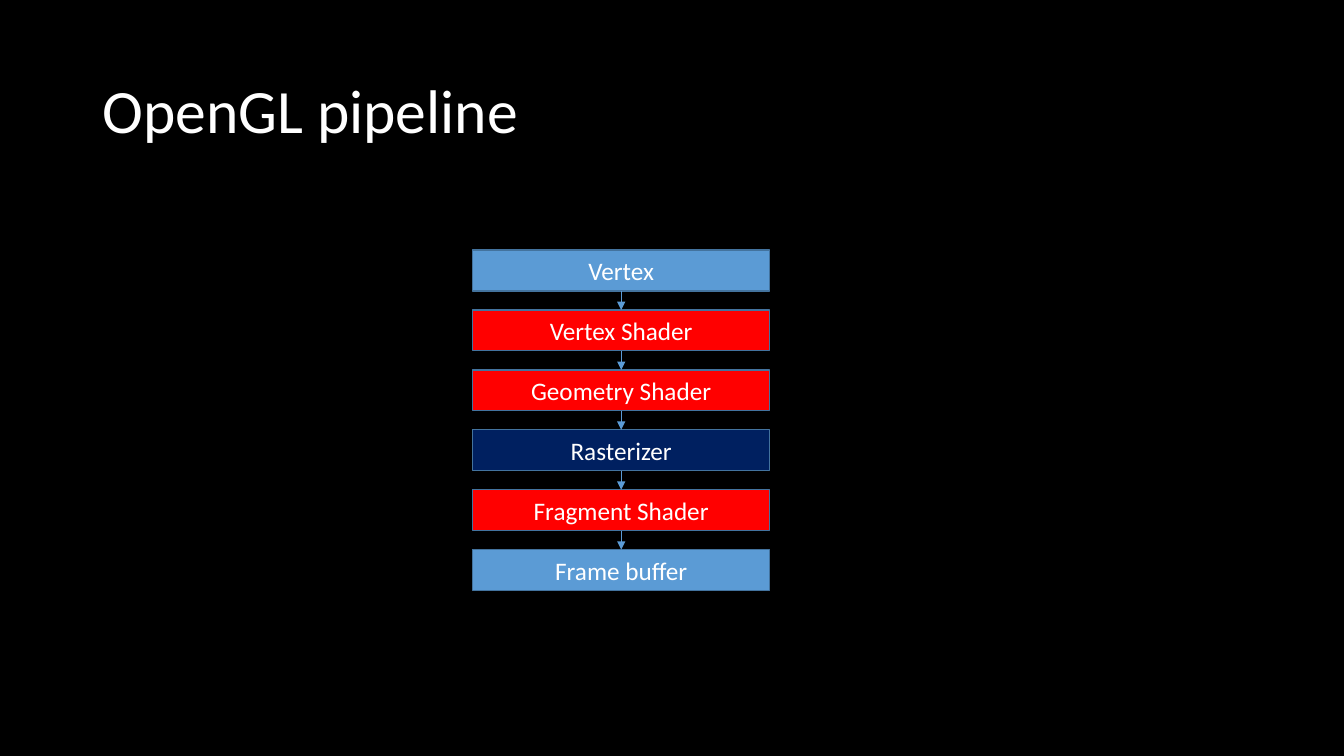
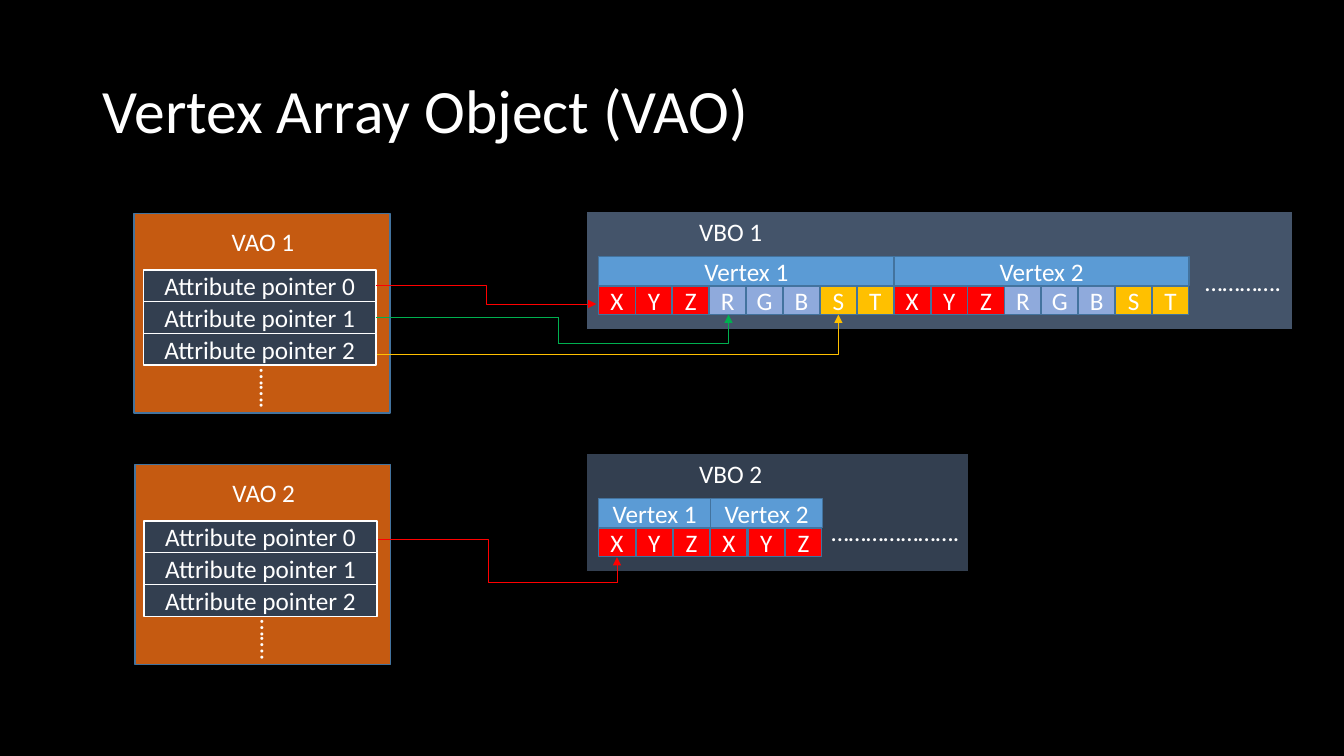
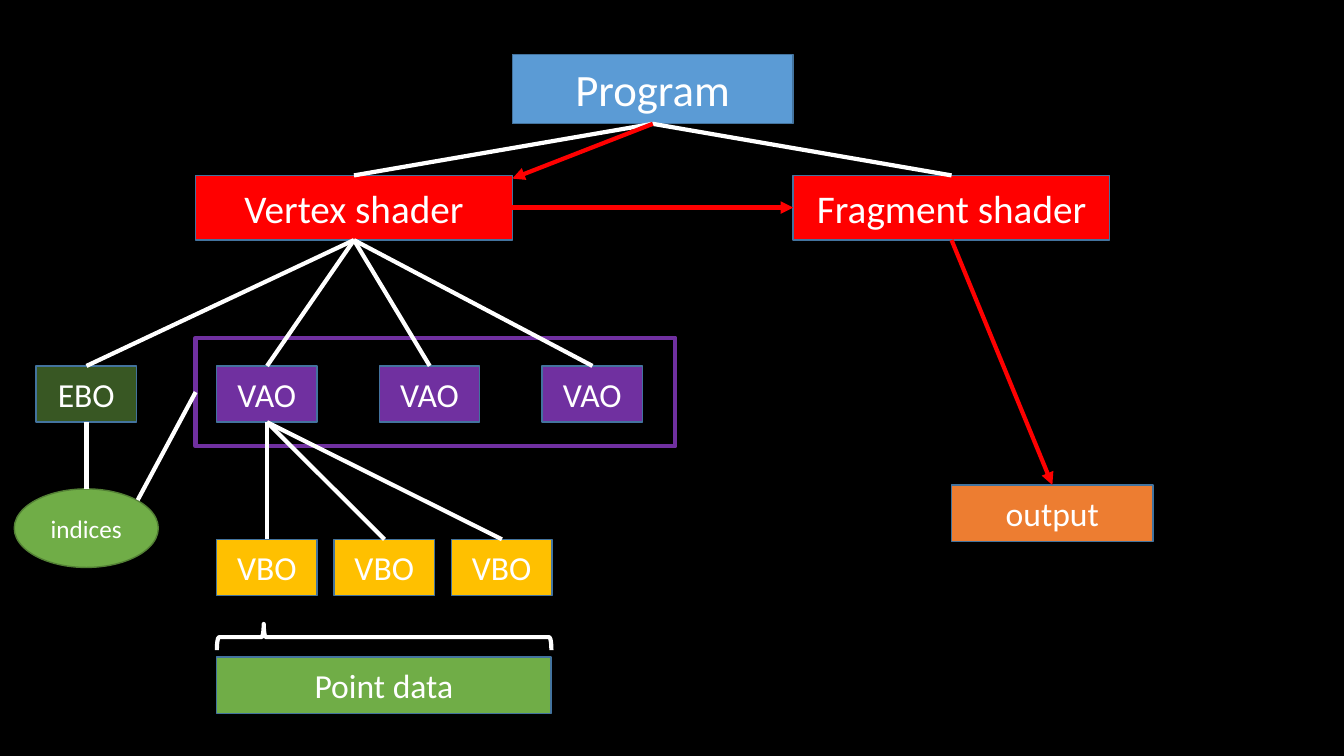
"""Build three slides on the OpenGL pipeline, vertex array objects and program structure."""
import lxml.etree
import pptx
import pptx.dml.color
import pptx.enum.shapes
import pptx.enum.text
import pptx.oxml.ns
import pptx.util

Cm = pptx.util.Cm
Pt = pptx.util.Pt
rgb = pptx.dml.color.RGBColor.from_string
qn = pptx.oxml.ns.qn
MSO = pptx.enum.shapes.MSO_SHAPE
CXN = pptx.enum.shapes.MSO_CONNECTOR
ALIGN = pptx.enum.text.PP_ALIGN

FONT = "Calibri"
WHITE, BLACK, RED, BLUE = "FFFFFF", "000000", "FF0000", "5B9BD5"
NAVY, SLATE, DARK_SLATE = "002060", "44546A", "333F50"
PERIWINKLE, AMBER, RUST, ORANGE = "8FAADC", "FFC000", "C55A11", "ED7D31"
GREEN, DARK_GREEN, PURPLE, EMERALD = "70AD47", "385723", "7030A0", "00B050"
OUTLINE = "43739E"


def box(s, text, x, y, w, h, fill, line=OUTLINE, size=18, kind=MSO.RECTANGLE, weight=1):
    sp = s.shapes.add_shape(kind, Cm(x), Cm(y), Cm(w), Cm(h))
    sp.shadow.inherit = False
    if fill:
        sp.fill.solid()
        sp.fill.fore_color.rgb = rgb(fill)
    else:
        sp.fill.background()
    sp.line.color.rgb = rgb(line)
    sp.line.width = Pt(weight)
    if text:
        p = sp.text_frame.paragraphs[0]
        p.text = text
        p.alignment = ALIGN.CENTER
        p.font.name, p.font.size = FONT, Pt(size)
        p.font.color.rgb = rgb(WHITE)
    return sp


def link(s, start, end, color, width, arrow=False, bend=None, adjust=()):
    kind = CXN.ELBOW if bend else CXN.STRAIGHT
    c = s.shapes.add_connector(kind, *(Cm(v) for v in start + end))
    c.line.color.rgb = rgb(color)
    c.line.width = Pt(width)
    spPr = c._element.spPr
    if arrow:
        lxml.etree.SubElement(spPr.find(qn("a:ln")), qn("a:tailEnd"), type="triangle")
    lxml.etree.SubElement(spPr, qn("a:effectLst"))
    if bend:
        geom = spPr.find(qn("a:prstGeom"))
        geom.set("prst", bend)
        for i, value in enumerate(adjust, 1):
            lxml.etree.SubElement(geom.find(qn("a:avLst")), qn("a:gd"),
                                  name=f"adj{i}", fmla=f"val {value}")


prs = pptx.Presentation()
prs.slide_width, prs.slide_height = Cm(33.87), Cm(19.05)
background = prs.slide_master.background.fill
background.solid()
background.fore_color.rgb = rgb(BLACK)

for title in ("OpenGL pipeline", "Vertex Array Object (VAO)"):
    s = prs.slides.add_slide(prs.slide_layouts[5])
    sp = s.shapes.title
    sp.left, sp.top, sp.width, sp.height = Cm(2.33), Cm(1.01), Cm(29.21), Cm(3.68)
    tf = sp.text_frame
    tf.vertical_anchor = pptx.enum.text.MSO_ANCHOR.MIDDLE
    p = tf.paragraphs[0]
    p.text = title
    p.alignment = ALIGN.LEFT
    p.line_spacing = 0.9
    p.font.name, p.font.size = FONT, Pt(44)
    p.font.color.rgb = rgb(WHITE)

s = prs.slides[0]
stages = [("Vertex", BLUE), ("Vertex Shader", RED), ("Geometry Shader", RED),
          ("Rasterizer", NAVY), ("Fragment Shader", RED), ("Frame buffer", BLUE)]
left, top, width, height, pitch = 11.91, 6.3, 7.49, 1.03, 1.51
for i, (name, color) in enumerate(stages):
    y = top + i * pitch
    box(s, name, left, y, width, height, color)
    if i:
        middle = left + width / 2
        link(s, (middle, y - pitch + height), (middle, y), BLUE, 0.5, True)

s = prs.slides[1]
letter_colors = dict(zip("XYZRGBST", [RED] * 3 + [PERIWINKLE] * 3 + [AMBER] * 2))
labels = []

for name, x, y in (("VAO 1", 3.38, 5.38), ("VAO 2", 3.4, 11.71)):
    box(s, "", x, y, 6.45, 5.03, RUST)
    for i in range(3):
        box(s, f"Attribute pointer {i}", x + 0.23, y + 1.42 + i * 0.8, 5.87, 0.8,
            DARK_SLATE, WHITE)
    labels += [(name, x + 2.21, y + 0.2, 2.11, 0), ("…….", x + 2.64, y + 3.91, 1.55, 90)]

for name, y, panel_width, color, vertex_width, letters in (
        ("VBO 1", 5.33, 17.81, SLATE, 7.44, "XYZRGBST"),
        ("VBO 2", 11.43, 9.63, DARK_SLATE, 2.82, "XYZ")):
    box(s, "", 14.78, y, panel_width, 2.97, color, BLACK)
    cell_pitch = vertex_width / len(letters)
    for vertex in range(2):
        x = 15.09 + vertex * vertex_width
        box(s, f"Vertex {vertex + 1}", x, y + 1.14, vertex_width, 0.72, BLUE)
        for i, letter in enumerate(letters):
            box(s, letter, x + i * cell_pitch, y + 1.88, 0.92, 0.72, letter_colors[letter])
    labels.append((name, 17.37, y, 2.11, 0))

labels += [("………….", 30.12, 6.58, 2.44, 0), ("………………….", 20.7, 12.88, 3.76, 0)]
for text, x, y, w, rotation in labels:
    sp = s.shapes.add_textbox(Cm(x), Cm(y), Cm(w), Cm(1.02))
    sp.rotation = rotation
    tf = sp.text_frame
    tf.word_wrap = False
    tf.auto_size = pptx.enum.text.MSO_AUTO_SIZE.SHAPE_TO_FIT_TEXT
    p = tf.paragraphs[0]
    p.text = text
    p.font.name, p.font.size = FONT, Pt(18)
    p.font.color.rgb = rgb(WHITE)

link(s, (9.48, 7.2), (15.03, 7.66), RED, 0.5, True, "bentConnector3")
link(s, (9.5, 8.92), (21.13, 7.93), AMBER, 0.5, True, "bentConnector2")
link(s, (9.48, 8), (14.07, 8), EMERALD, 0.5)
link(s, (14.07, 8), (14.07, 8.66), EMERALD, 0.5)
link(s, (14.07, 8.66), (18.36, 7.93), EMERALD, 0.5, True, "bentConnector2")
link(s, (9.52, 13.6), (15.55, 14.04), RED, 0.5, True, "bentConnector4", (46200, 244100))

s = prs.slides.add_slide(prs.slide_layouts[6])
box(s, "Program", 12.91, 1.37, 7.08, 1.75, BLUE, size=32)
box(s, "Vertex shader", 4.93, 4.42, 7.98, 1.63, RED, size=28)
box(s, "Fragment shader", 19.99, 4.42, 7.98, 1.63, RED, size=28)
box(s, "EBO", 0.91, 9.22, 2.53, 1.42, DARK_GREEN, size=24)
box(s, "indices", 0.36, 12.32, 3.63, 1.98, GREEN, "538035", kind=MSO.OVAL)
box(s, "Point data", 5.46, 16.56, 8.43, 1.42, GREEN, size=24)
box(s, "output", 23.98, 12.22, 5.08, 1.42, ORANGE, size=24)
box(s, "", 4.93, 8.51, 12.09, 2.74, None, PURPLE, weight=3)
brace = box(s, "", 9.35, 11.84, 0.66, 8.43, None, WHITE, kind=MSO.LEFT_BRACE, weight=3)
brace.rotation = 90
brace.adjustments[0], brace.adjustments[1] = 0.08, 0.86

program_foot, vertex_head, vertex_foot = (16.45, 3.12), (8.92, 4.42), (8.92, 6.05)
ebo_head, ebo_foot, vao_foot = (2.18, 9.22), (2.18, 10.64), (6.73, 10.64)
fragment_head, fragment_foot = (23.98, 4.42), (23.98, 6.05)

for i in range(3):
    vao_left, vbo_left = 5.46 + i * 4.1, 5.46 + i * 2.96
    box(s, "VAO", vao_left, 9.22, 2.53, 1.42, PURPLE, size=24)
    box(s, "VBO", vbo_left, 13.59, 2.53, 1.42, AMBER, size=24)
    link(s, vertex_foot, (vao_left + 1.27, 9.22), WHITE, 3)
    link(s, vao_foot, (vbo_left + 1.27, 13.59), WHITE, 3)

for start, end in ((program_foot, vertex_head), (program_foot, fragment_head),
                   (vertex_foot, ebo_head), (ebo_foot, (2.18, 12.32)),
                   ((3.47, 12.6), (4.93, 9.88))):
    link(s, start, end, WHITE, 3)
for start, end in (((12.91, 5.23), (19.99, 5.23)), (fragment_foot, (26.52, 12.22)),
                   (program_foot, (12.91, 4.5))):
    link(s, start, end, RED, 3, True)

prs.save("out.pptx")
